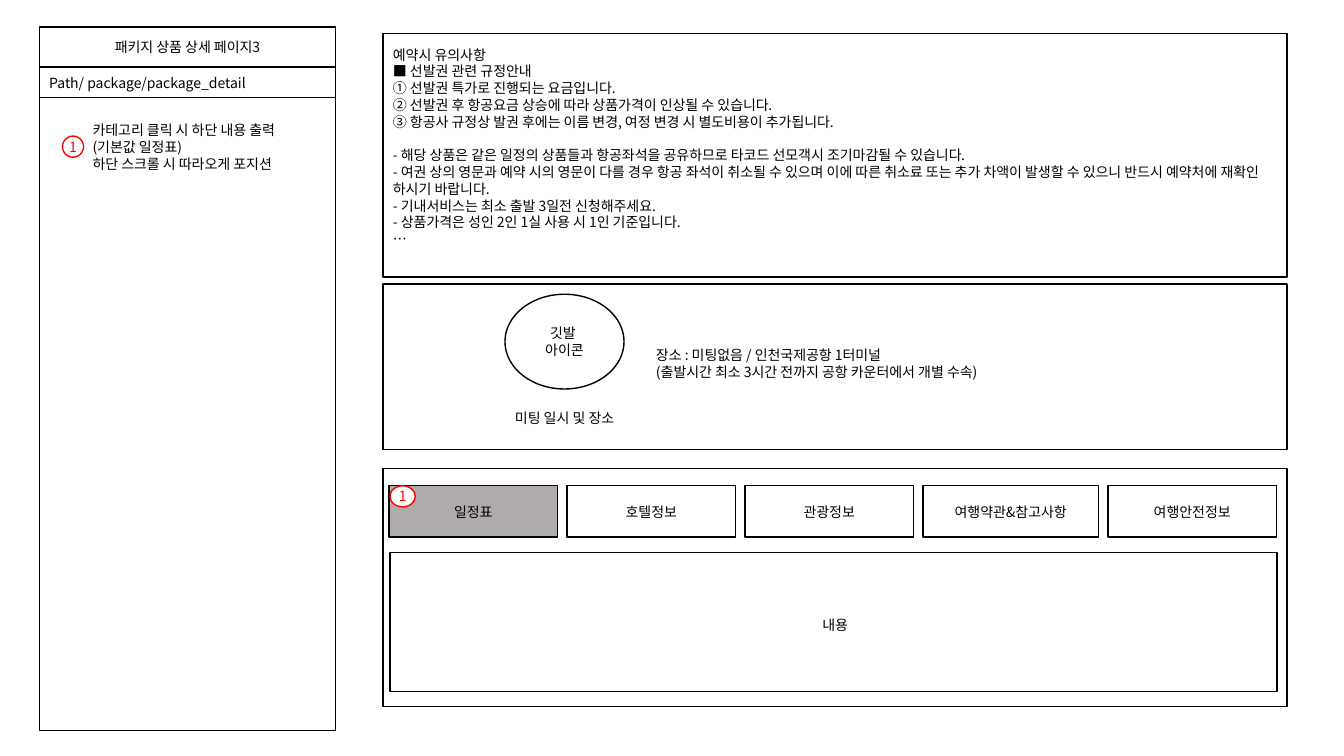
from lxml.etree import SubElement
from pptx import Presentation
from pptx.dml.color import RGBColor
from pptx.enum.shapes import MSO_SHAPE
from pptx.enum.text import MSO_ANCHOR, PP_ALIGN
from pptx.oxml.ns import qn
from pptx.util import Pt

BLACK = RGBColor(0, 0, 0)
WHITE = RGBColor(255, 255, 255)
GRAY = RGBColor(0xAF, 0xAB, 0xAB)
RED = RGBColor(255, 0, 0)
FONT = "Noto Sans CJK KR"

NOTICE = [
    "예약시 유의사항",
    "■ 선발권 관련 규정안내",
    "① 선발권 특가로 진행되는 요금입니다.",
    "② 선발권 후 항공요금 상승에 따라 상품가격이 인상될 수 있습니다.",
    "③ 항공사 규정상 발권 후에는 이름 변경, 여정 변경 시 별도비용이 추가됩니다.",
    "- 해당 상품은 같은 일정의 상품들과 항공좌석을 공유하므로 타코드 선모객시 조기마감될 수 있습니다.",
    "- 여권 상의 영문과 예약 시의 영문이 다를 경우 항공 좌석이 취소될 수 있으며 이에 따른 "
    "취소료 또는 추가 차액이 발생할 수 있으니 반드시 예약처에 재확인 하시기 바랍니다.",
    "- 기내서비스는 최소 출발 3일전 신청해주세요.",
    "- 상품가격은 성인 2인 1실 사용 시 1인 기준입니다.",
    "…",
]
TABS = [
    ("일정표", 120.2, GRAY),
    ("호텔정보", 120.2, WHITE),
    ("관광정보", 120.2, WHITE),
    ("여행약관&참고사항", 125.3, WHITE),
    ("여행안전정보", 120.2, WHITE),
]


def write(frame, lines, align, color=BLACK):
    frame.word_wrap = True
    frame.text = "\n".join(lines)
    for para in frame.paragraphs:
        para.alignment = align
        para.line_spacing = Pt(12)
        for run in para.runs:
            run.font.size = Pt(10)
            run.font.name = FONT
            run.font.color.rgb = color
            # Hangul takes its typeface from a:ea
            SubElement(run.font._element, qn("a:ea"), typeface=FONT)


def box(slide, place, lines=(), align=PP_ALIGN.CENTER, fill=WHITE,
        line=BLACK, ink=BLACK, kind=MSO_SHAPE.RECTANGLE):
    shape = slide.shapes.add_shape(kind, *map(Pt, place))
    shape.shadow.inherit = False
    shape.fill.solid()
    shape.fill.fore_color.rgb = fill
    shape.line.color.rgb = line
    shape.line.width = Pt(1)
    if lines:
        shape.text_frame.vertical_anchor = MSO_ANCHOR.MIDDLE
        write(shape.text_frame, lines, align, ink)
    return shape


def label(slide, place, lines, align):
    text = slide.shapes.add_textbox(*map(Pt, place))
    write(text.text_frame, lines, align)


def badge(slide, place):
    """Red numbered marker that ties a note to its spot on the page."""
    mark = box(slide, place, ["1"], line=RED, ink=RED, kind=MSO_SHAPE.OVAL)
    frame = mark.text_frame
    frame.margin_left = frame.margin_right = 0
    frame.margin_top = frame.margin_bottom = 0


def sidebar(slide):
    box(slide, (28.1, 61.2, 211.7, 460.8))
    box(slide, (28.1, 19.4, 211.7, 28.4), ["패키지 상품 상세 페이지3"])
    box(slide, (28.1, 48.2, 211.7, 21.6), ["Path/ package/package_detail"],
        PP_ALIGN.LEFT)
    label(slide, (59, 83.5, 164.2, 43.9),
          ["카테고리 클릭 시 하단 내용 출력", "(기본값 일정표)",
           "하단 스크롤 시 따라오게 포지션"], PP_ALIGN.LEFT)
    badge(slide, (44.6, 97.2, 15.1, 15.1))


def notice(slide):
    panel = box(slide, (273.6, 23.8, 645.8, 174.2), NOTICE, PP_ALIGN.LEFT)
    panel.text_frame.margin_bottom = Pt(15.6)
    panel.text_frame.paragraphs[5].space_before = Pt(12)


def meeting(slide):
    box(slide, (273.6, 203, 645.8, 118.1))
    box(slide, (360.7, 210.2, 85, 67.7), ["깃발 ", "아이콘"],
        kind=MSO_SHAPE.OVAL)
    box(slide, (347.8, 287.3, 110.9, 23), ["미팅 일시 및 장소"], line=WHITE)
    box(slide, (461.5, 220.3, 355, 78.5),
        ["장소 : 미팅없음 / 인천국제공항 1터미널",
         "(출발시간 최소 3시간 전까지 공항 카운터에서 개별 수속)"],
        PP_ALIGN.LEFT, line=WHITE)


def content(slide):
    box(slide, (273.6, 334.8, 645.8, 169.9))
    box(slide, (278.6, 394.6, 633.6, 99.4))
    label(slide, (389.5, 437, 414, 19.4), ["내용"], PP_ALIGN.CENTER)
    left = 278
    for name, width, fill in TABS:
        box(slide, (left, 347, width, 36.7), [name], fill=fill)
        left += width + 6.9
    badge(slide, (278.6, 347, 18, 15.1))


def main():
    deck = Presentation()
    deck.slide_width, deck.slide_height = Pt(960), Pt(540)
    slide = deck.slides.add_slide(deck.slide_layouts[6])
    sidebar(slide)
    notice(slide)
    meeting(slide)
    content(slide)
    deck.save("out.pptx")


if __name__ == "__main__":
    main()
